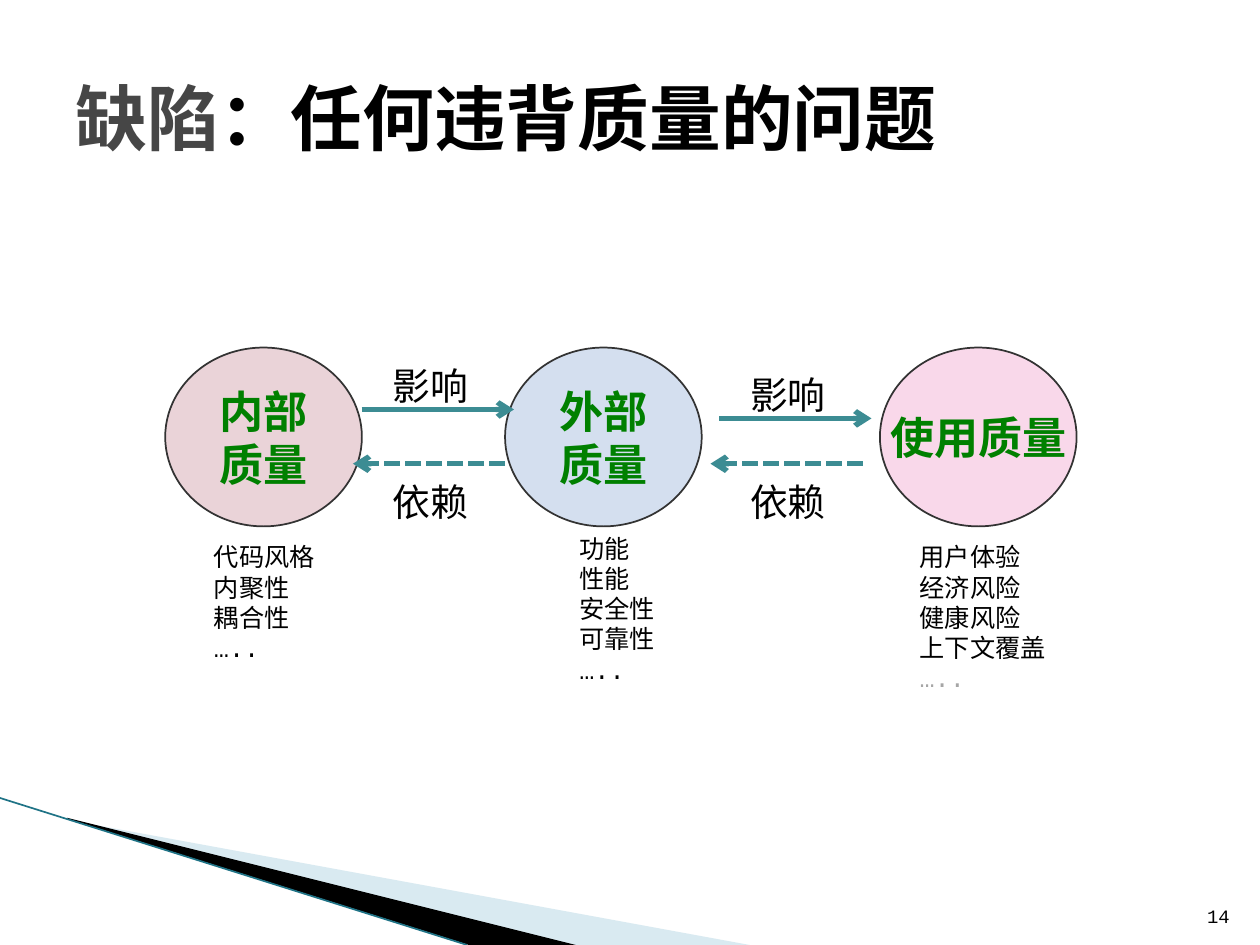
import pptx
import pptx.util
import pptx.dml.color
import pptx.enum.dml
import pptx.enum.shapes
import pptx.enum.text
import pptx.oxml.ns
from lxml import etree

Pt = pptx.util.Pt
RGB = pptx.dml.color.RGBColor
ALIGN = pptx.enum.text.PP_ALIGN
ANCHOR = pptx.enum.text.MSO_ANCHOR
qn = pptx.oxml.ns.qn

FONT = "Courier New"
BLACK = RGB(0x00, 0x00, 0x00)
TITLE_GRAY = RGB(0x46, 0x46, 0x46)
FADED = RGB(0xA6, 0xA6, 0xA6)
GREEN = RGB(0x00, 0x80, 0x00)
OUTLINE = RGB(0x33, 0x33, 0x33)
ARROW = RGB(0x3C, 0x8C, 0x93)
PALE_BLUE = RGB(0xA0, 0xCB, 0xDC)
EDGE_TEAL = RGB(0x1F, 0x73, 0x86)
ROSE = RGB(0xEA, 0xD3, 0xD8)
SKY = RGB(0xD4, 0xDF, 0xEF)
PINK = RGB(0xF9, 0xD8, 0xEA)


def write(tf, paragraphs, size, color=BLACK, bold=False, align=ALIGN.LEFT,
          anchor=ANCHOR.TOP, wrap=True):
    """Fill a text frame; each paragraph is a list of (text, colour or None)."""
    tf.word_wrap = wrap
    tf.vertical_anchor = anchor
    for i, runs in enumerate(paragraphs):
        p = tf.paragraphs[0] if i == 0 else tf.add_paragraph()
        p.alignment = align
        for text, run_color in runs:
            r = p.add_run()
            r.text = text
            r.font.name = FONT
            r.font.size = Pt(size)
            r.font.bold = bold
            r.font.color.rgb = run_color or color


def add_text(s, box, paragraphs, size, **style):
    tb = s.shapes.add_textbox(*map(Pt, box))
    write(tb.text_frame, paragraphs, size, **style)


def add_line(s, start, end, color, width, arrow=False, dashed=False):
    line = s.shapes.add_connector(pptx.enum.shapes.MSO_CONNECTOR.STRAIGHT,
                                  *map(Pt, start + end))
    line.line.color.rgb = color
    line.line.width = Pt(width)
    if dashed:
        line.line.dash_style = pptx.enum.dml.MSO_LINE.SQUARE_DOT
    if arrow:
        etree.SubElement(line.line._get_or_add_ln(), qn("a:tailEnd"), type="arrow")
    etree.SubElement(line._element.spPr, qn("a:effectLst"))


def add_wedge(s, points, color, opacity=None):
    points = [(Pt(x), Pt(y)) for x, y in points]
    builder = s.shapes.build_freeform(*points[0])
    builder.add_line_segments(points[1:], close=True)
    sp = builder.convert_to_shape()
    sp.shadow.inherit = False
    sp.fill.solid()
    sp.fill.fore_color.rgb = color
    sp.line.fill.background()
    if opacity:
        srgb = sp._element.spPr.find(".//" + qn("a:srgbClr"))
        etree.SubElement(srgb, qn("a:alpha"), val=str(opacity * 1000))


def corner_decoration(s, left, top, bottom):
    add_wedge(s, [(left + 39.6, top + 12.7), (left + 428.5, bottom),
                  (left + 328.5, bottom), (left + 39.6, top + 12.2)], PALE_BLUE, 40)
    add_wedge(s, [(left + 38.2, top + 11.3), (left + 329, bottom),
                  (left + 268, bottom), (left + 38.9, top + 12)], BLACK)
    add_line(s, (left, top), (left + 267, bottom), EDGE_TEAL, 0.95)


def quality_circle(s, box, lines, color):
    sp = s.shapes.add_shape(pptx.enum.shapes.MSO_SHAPE.OVAL, *map(Pt, box))
    sp.shadow.inherit = False
    sp.fill.solid()
    sp.fill.fore_color.rgb = color
    sp.line.color.rgb = OUTLINE
    sp.line.width = Pt(1)
    write(sp.text_frame, [[(t, None)] for t in lines], 25.2, color=GREEN,
          bold=True, align=ALIGN.CENTER, anchor=ANCHOR.MIDDLE, wrap=False)


def relation_arrows(s, left, top, width, bottom):
    """Solid arrow to the right, dashed arrow back, each with its label."""
    forward, back = top + 30.2, bottom - 38
    add_line(s, (left + 5, forward), (left + width, forward), ARROW, 3, arrow=True)
    add_line(s, (left + width - 5, back), (left, back), ARROW, 3,
             arrow=True, dashed=True)
    for label, y in (("影响", top), ("依赖", bottom - 33)):
        add_text(s, (left + 15.6, y, 57.6, 33), [[(label, None)]], 21.6, wrap=False)


def attribute_list(s, box, items, last_color=None):
    paragraphs = [[(t, None)] for t in items] + [[("…..", last_color)]]
    add_text(s, box, paragraphs, 14.4)


def main():
    prs = pptx.Presentation()
    prs.slide_width, prs.slide_height = Pt(720), Pt(540)
    s = prs.slides.add_slide(prs.slide_layouts[6])

    corner_decoration(s, 0, 456, 540)

    # Title and page number
    add_text(s, (36, 21.6, 648, 90),
             [[("缺陷", TITLE_GRAY), ("：任何违背质量的问题", None)]], 41,
             bold=True, anchor=ANCHOR.MIDDLE)
    add_text(s, (681, 504.7, 28.8, 28.8), [[("14", None)]], 10.8,
             align=ALIGN.RIGHT, anchor=ANCHOR.BOTTOM)

    # Three kinds of quality
    for left, lines, color in ((94.4, ("内部", "质量"), ROSE),
                               (288.6, ("外部", "质量"), SKY),
                               (502.8, ("使用质量",), PINK)):
        quality_circle(s, (left, 198.6, 112.4, 102.2), lines, color)

    # Relations between neighbours
    for left, top in ((201.7, 203.8), (406, 208.9)):
        relation_arrows(s, left, top, 92, 303)

    # Attributes under each circle
    attribute_list(s, (324, 301, 66.2, 94.3), ("功能", "性能", "安全性", "可靠性"))
    attribute_list(s, (115.2, 306, 76.3, 77), ("代码风格", "内聚性", "耦合性"))
    attribute_list(s, (518.4, 306, 92.2, 94.3),
                   ("用户体验", "经济风险", "健康风险", "上下文覆盖"), FADED)

    prs.save("out.pptx")


if __name__ == "__main__":
    main()
